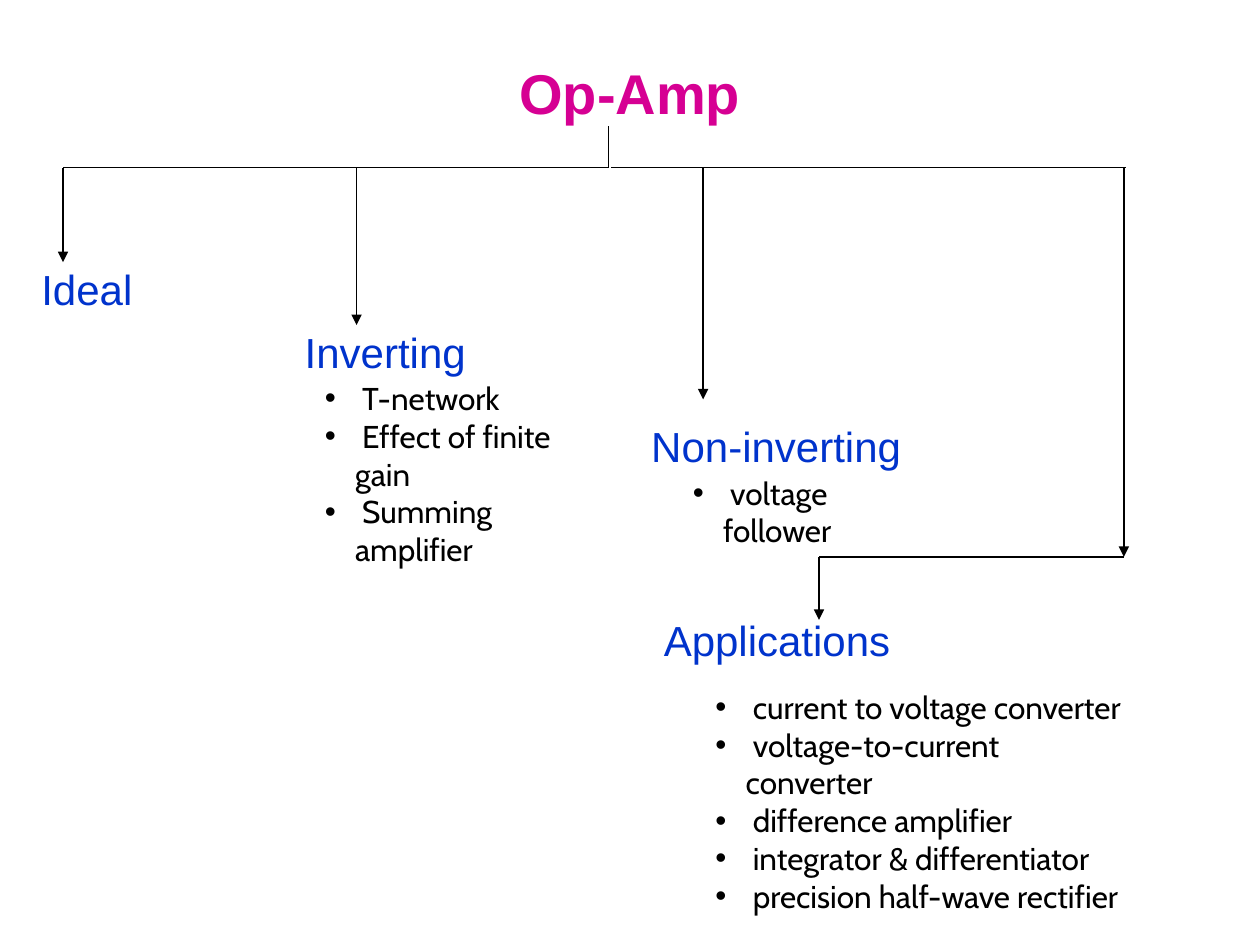
import pptx
import pptx.util
import pptx.dml.color
import pptx.enum.shapes
import pptx.enum.text
import pptx.oxml.ns
from lxml import etree

Inches, Pt = pptx.util.Inches, pptx.util.Pt

TITLE = ("Op-Amp", 0.5, 0.3, 9, 0.87)
HEADINGS = [
    ("Ideal", 0.23, 2.04, 0.93),
    ("Inverting", 2.32, 2.54, 1.48),
    ("Non-inverting", 5.07, 3.29, 2.19),
    ("Applications", 5.17, 4.83, 2),
]
LISTS = [
    (2.48, 2.96, 2.43, 1, ["T-network", "Effect of finite gain", "Summing amplifier"]),
    (5.4, 3.71, 2.09, 0.4, ["voltage follower"]),
    (5.58, 5.41, 3.45, 1.6, [
        "current to voltage converter",
        "voltage-to-current converter",
        "difference amplifier",
        "integrator & differentiator",
        "precision half-wave rectifier",
    ]),
]
BUS_Y, TURN_Y = 1.33, 4.42
ROOT_X, LAST_X, APPS_X = 4.83, 8.92, 6.5
BRANCHES = [(0.5, 2.08), (2.83, 2.58), (5.58, 3.17), (LAST_X, TURN_Y)]
LINES = [
    (ROOT_X, 1, ROOT_X, BUS_Y),
    (ROOT_X, BUS_Y, BRANCHES[0][0], BUS_Y),
    (4.85, BUS_Y, 8.94, BUS_Y),
    (LAST_X, TURN_Y, APPS_X, TURN_Y),
]
ARROWS = [(x, BUS_Y, x, y) for x, y in BRANCHES] + [(APPS_X, TURN_Y, APPS_X, 4.92)]


def rgb(color):
    return pptx.dml.color.RGBColor.from_string(color)


def add_tag(parent, tag, **attrs):
    return etree.SubElement(parent, pptx.oxml.ns.qn(tag), attrs)


def add_text(s, lines, x, y, w, h, font, size, color, wrap=True, bullet=False):
    sp = s.shapes.add_textbox(Inches(x), Inches(y), Inches(w), Inches(h))
    tf = sp.text_frame
    tf.word_wrap = wrap
    for i, line in enumerate(lines):
        p = tf.paragraphs[0] if i == 0 else tf.add_paragraph()
        p.text = line
        if bullet:
            pPr = p._p.get_or_add_pPr()
            pPr.set("marL", str(Inches(0.24)))
            pPr.set("indent", str(-Inches(0.24)))
            add_tag(pPr, "a:buFont", typeface="Arial")
            add_tag(pPr, "a:buChar", char="•")
        p.font.name, p.font.size = font, Pt(size)
        p.font.color.rgb = rgb(color)
    return tf


def add_line(s, ends, arrow=False):
    c = s.shapes.add_connector(
        pptx.enum.shapes.MSO_CONNECTOR.STRAIGHT, *[Inches(v) for v in ends])
    c.line.color.rgb = rgb("000000")
    c.line.width = Pt(0.75)
    if arrow:
        add_tag(c.line._get_or_add_ln(), "a:tailEnd", type="triangle")
    add_tag(c._element.spPr, "a:effectLst")


def main():
    prs = pptx.Presentation()
    prs.slide_width, prs.slide_height = Inches(10), Inches(7.5)
    s = prs.slides.add_slide(prs.slide_layouts[6])

    title, *box = TITLE
    tf = add_text(s, [title], *box, "Arial", 32, "D60093")
    tf.vertical_anchor = pptx.enum.text.MSO_ANCHOR.MIDDLE
    tf.paragraphs[0].alignment = pptx.enum.text.PP_ALIGN.CENTER
    tf.paragraphs[0].font.bold = True

    for ends in LINES:
        add_line(s, ends)
    for ends in ARROWS:
        add_line(s, ends, arrow=True)
    for text, x, y, w in HEADINGS:
        add_text(s, [text], x, y, w, 0.5, "Arial", 24, "0033CC", wrap=False)
    for x, y, w, h, items in LISTS:
        add_text(s, [" " + item for item in items], x, y, w, h,
                 "Cabin", 18, "000000", bullet=True)

    prs.save("out.pptx")


if __name__ == "__main__":
    main()
